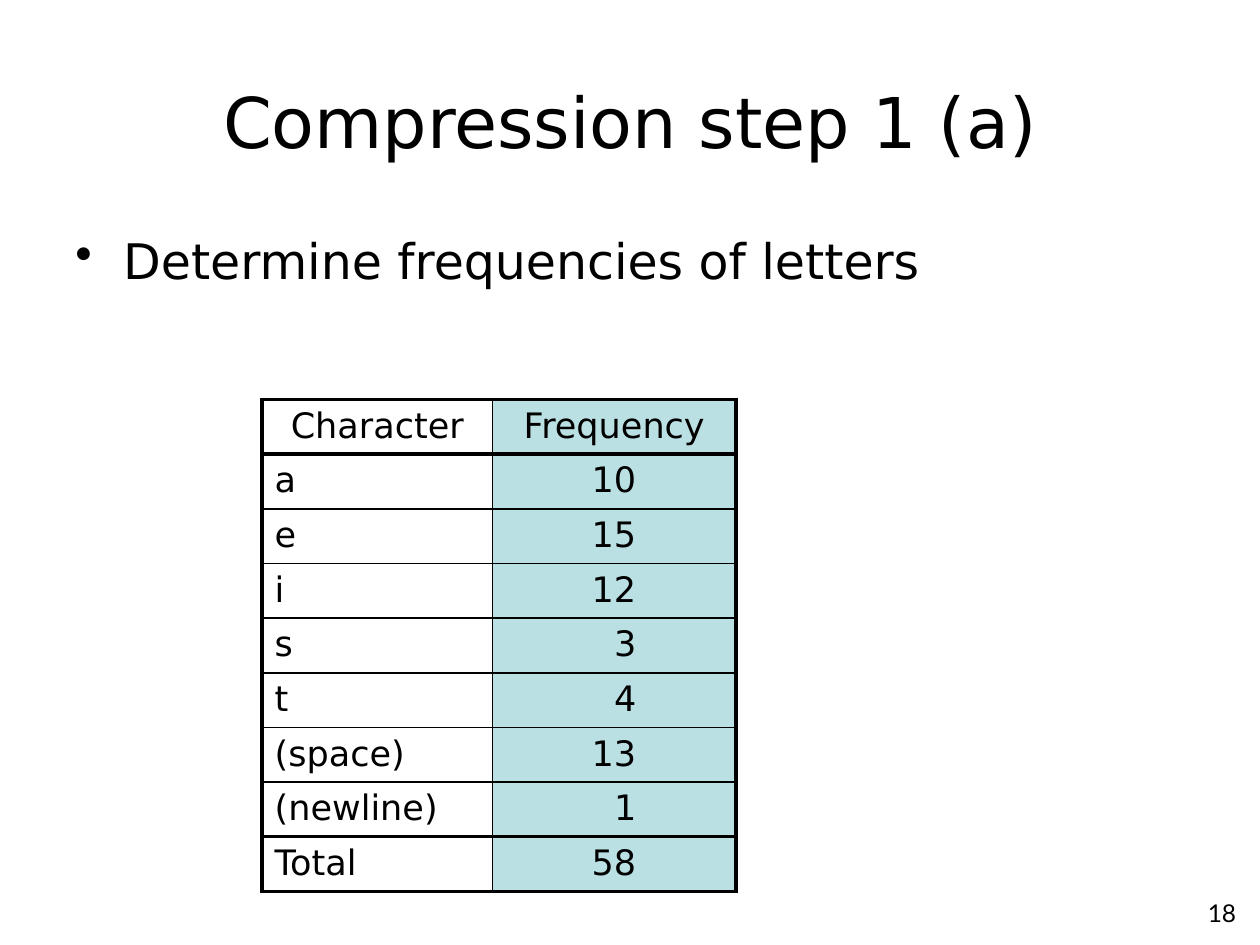
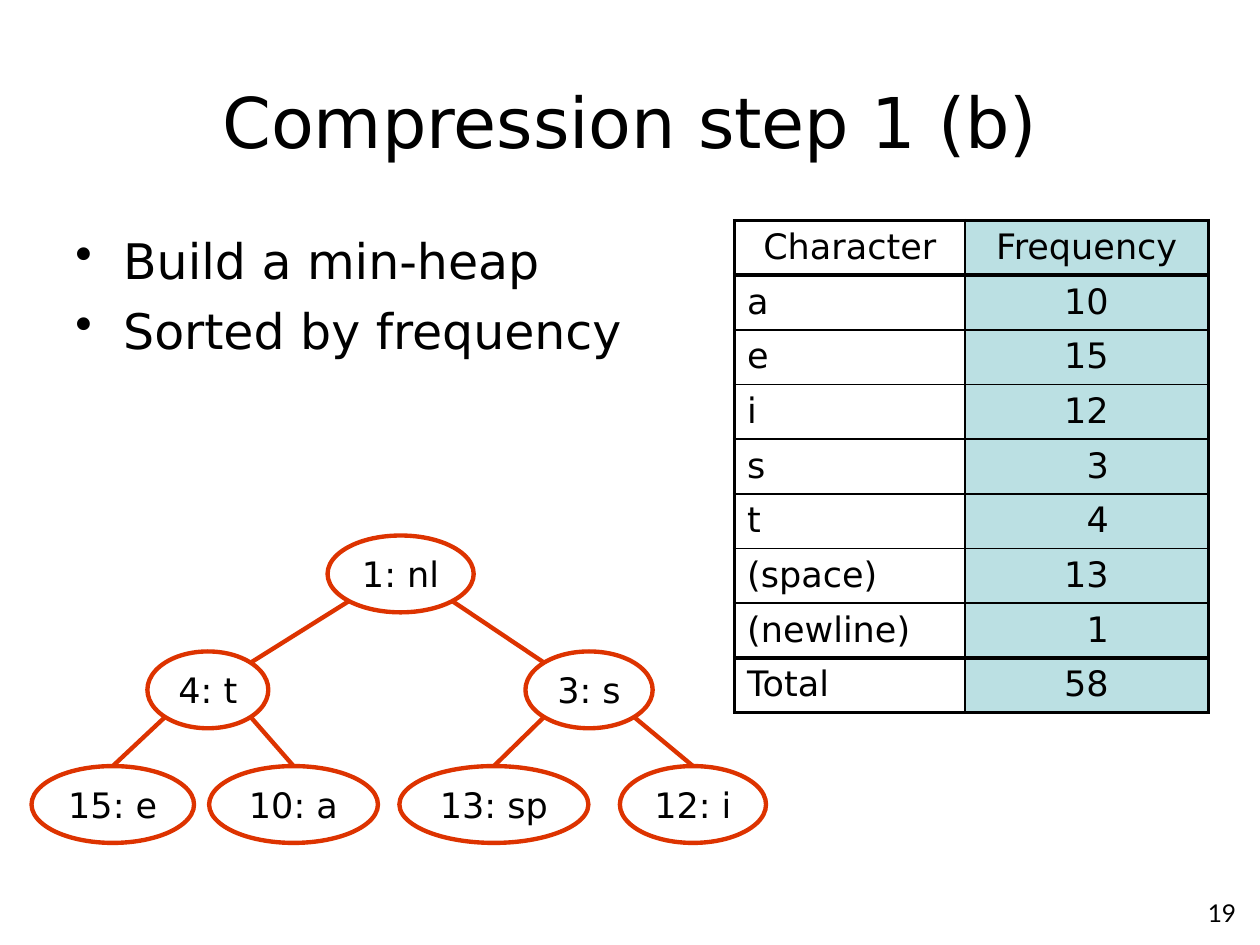
from dataclasses import dataclass
from math import sqrt

from lxml import etree
from pptx import Presentation
from pptx.dml.color import RGBColor
from pptx.enum.shapes import MSO_CONNECTOR, MSO_SHAPE
from pptx.enum.text import MSO_ANCHOR, PP_ALIGN
from pptx.oxml.ns import qn
from pptx.util import Inches, Pt

LEFT, CENTER, RIGHT = PP_ALIGN.LEFT, PP_ALIGN.CENTER, PP_ALIGN.RIGHT
TOP, MIDDLE = MSO_ANCHOR.TOP, MSO_ANCHOR.MIDDLE
OVAL, STRAIGHT = MSO_SHAPE.OVAL, MSO_CONNECTOR.STRAIGHT


@dataclass(frozen=True)
class Theme:
    font: str = "DejaVu Sans"
    number_font: str = "Lato"
    ink: RGBColor = RGBColor(0x00, 0x00, 0x00)
    tint: RGBColor = RGBColor(0xBB, 0xE0, 0xE3)
    heap: RGBColor = RGBColor(0xDD, 0x33, 0x00)
    title_size: int = 40
    body_size: int = 28
    small_size: int = 20
    number_size: int = 14
    thick: float = 2.25
    thin: float = 1
    heap_line: float = 2.5


theme = Theme()


def write_text(frame, text, size=theme.small_size, font=theme.font, align=LEFT,
               anchor=TOP, wrap=True, bullet=False, gap=0, inset_top=0.05):
    """Fill a text frame, one paragraph per line; gap is the points between them."""
    frame.word_wrap = wrap
    frame.vertical_anchor = anchor
    frame.margin_top = Inches(inset_top)
    for index, line in enumerate(text.split("\n")):
        para = frame.add_paragraph() if index else frame.paragraphs[0]
        para.alignment = align
        if index:
            para.space_before = Pt(gap)
        if bullet:
            props = para._p.get_or_add_pPr()
            props.set("marL", str(Inches(0.38)))
            props.set("indent", str(-Inches(0.38)))
            etree.SubElement(props, qn("a:buChar")).set("char", "•")
        span = para.add_run()
        span.text = line
        span.font.size = Pt(size)
        span.font.name = font
        span.font.color.rgb = theme.ink


def set_border(cell, side, width):
    """Draw one side of a cell (L, R, T or B) with a width in points."""
    line = etree.SubElement(cell._tc.get_or_add_tcPr(), qn(f"a:ln{side}"))
    line.set("w", str(Pt(width)))
    fill = etree.SubElement(line, qn("a:solidFill"))
    etree.SubElement(fill, qn("a:srgbClr")).set("val", str(theme.ink))


deck = Presentation()
deck.slide_width, deck.slide_height = Inches(10), Inches(7.5)
blank = deck.slide_layouts[6]

frequencies = [
    ("Character", "Frequency"),
    ("a", "10"),
    ("e", "15"),
    ("i", "12"),
    ("s", "3"),
    ("t", "4"),
    ("(space)", "13"),
    ("(newline)", "1"),
    ("Total", "58"),
]
row_count = len(frequencies)
thick_rules = {0, 1, row_count - 1, row_count}
column_widths = (1.83, 1.93)

# number, title, bullets, then table left, top and height
steps = [
    ("18", "Compression step 1 (a)", "Determine frequencies of letters",
     2.08, 3.17, 3.83),
    ("19", "Compression step 1 (b)", "Build a min-heap\nSorted by frequency",
     5.83, 1.75, 3.9),
]

for number, title, bullets, table_left, table_top, table_height in steps:
    page = deck.slides.add_slide(blank)
    box = page.shapes.add_textbox(Inches(7.83), Inches(7.08), Inches(2.08), Inches(0.37))
    write_text(box.text_frame, number, size=theme.number_size,
               font=theme.number_font, align=RIGHT)
    box = page.shapes.add_textbox(Inches(0.5), Inches(0.3), Inches(9), Inches(1.25))
    write_text(box.text_frame, title, size=theme.title_size, align=CENTER,
               anchor=MIDDLE, inset_top=0.11)
    box = page.shapes.add_textbox(Inches(0.5), Inches(1.75), Inches(9), Inches(4.95))
    write_text(box.text_frame, bullets, size=theme.body_size, bullet=True,
               gap=6.5, inset_top=0.08)

    table = page.shapes.add_table(
        row_count, 2, Inches(table_left), Inches(table_top),
        Inches(sum(column_widths)), Inches(table_height)).table
    table.first_row = table.horz_banding = False
    for column, width in zip(table.columns, column_widths):
        column.width = Inches(width)
    for row, values in enumerate(frequencies):
        for col, value in enumerate(values):
            cell = table.cell(row, col)
            align = CENTER if row == 0 else (LEFT, RIGHT)[col]
            write_text(cell.text_frame, value, align=align)
            if align == RIGHT:
                cell.margin_right = Inches(0.79)
            set_border(cell, "L", theme.thin if col else theme.thick)
            set_border(cell, "R", theme.thick if col else theme.thin)
            set_border(cell, "T", theme.thick if row in thick_rules else theme.thin)
            set_border(cell, "B", theme.thick if row + 1 in thick_rules else theme.thin)
            if col:
                cell.fill.solid()
                cell.fill.fore_color.rgb = theme.tint
            else:
                cell.fill.background()

# Min-heap in array order: label, left, width; the parent of i is (i - 1) // 2
heap = [
    ("1: nl", 2.6, 1.16),
    ("4: t", 1.17, 0.96),
    ("3: s", 4.17, 1.01),
    ("15: e", 0.25, 1.29),
    ("10: a", 1.66, 1.34),
    ("13: sp", 3.17, 1.5),
    ("12: i", 4.92, 1.16),
]
level_tops = (4.25, 5.17, 6.08)
node_height = 0.61
diagonal = sqrt(0.5)

nodes = []
for index, (label, left, width) in enumerate(heap):
    level = (index + 1).bit_length() - 1
    node = page.shapes.add_shape(OVAL, Inches(left), Inches(level_tops[level]),
                                 Inches(width), Inches(node_height))
    node.shadow.inherit = False
    node.fill.background()
    node.line.color.rgb = theme.heap
    node.line.width = Pt(theme.heap_line)
    write_text(node.text_frame, label, align=CENTER, anchor=MIDDLE, wrap=False)
    nodes.append(node)

for index, child in enumerate(nodes[1:], start=1):
    parent = nodes[(index - 1) // 2]
    side = -1 if index % 2 else 1
    is_leaf = 2 * index + 1 >= len(nodes)
    start_x = parent.left + parent.width / 2 * (1 + side * diagonal)
    start_y = parent.top + parent.height / 2 * (1 + diagonal)
    end_x = child.left + child.width / 2 * (1 - side * diagonal)
    end_y = child.top + child.height / 2 * (1 - diagonal)
    branch = page.shapes.add_connector(STRAIGHT, int(start_x), int(start_y),
                                       int(end_x), int(end_y))
    if is_leaf:
        branch.end_connect(child, 0)
    branch.line.color.rgb = theme.heap
    branch.line.width = Pt(theme.heap_line)
    etree.SubElement(branch._element.spPr, qn("a:effectLst"))

deck.save("out.pptx")
